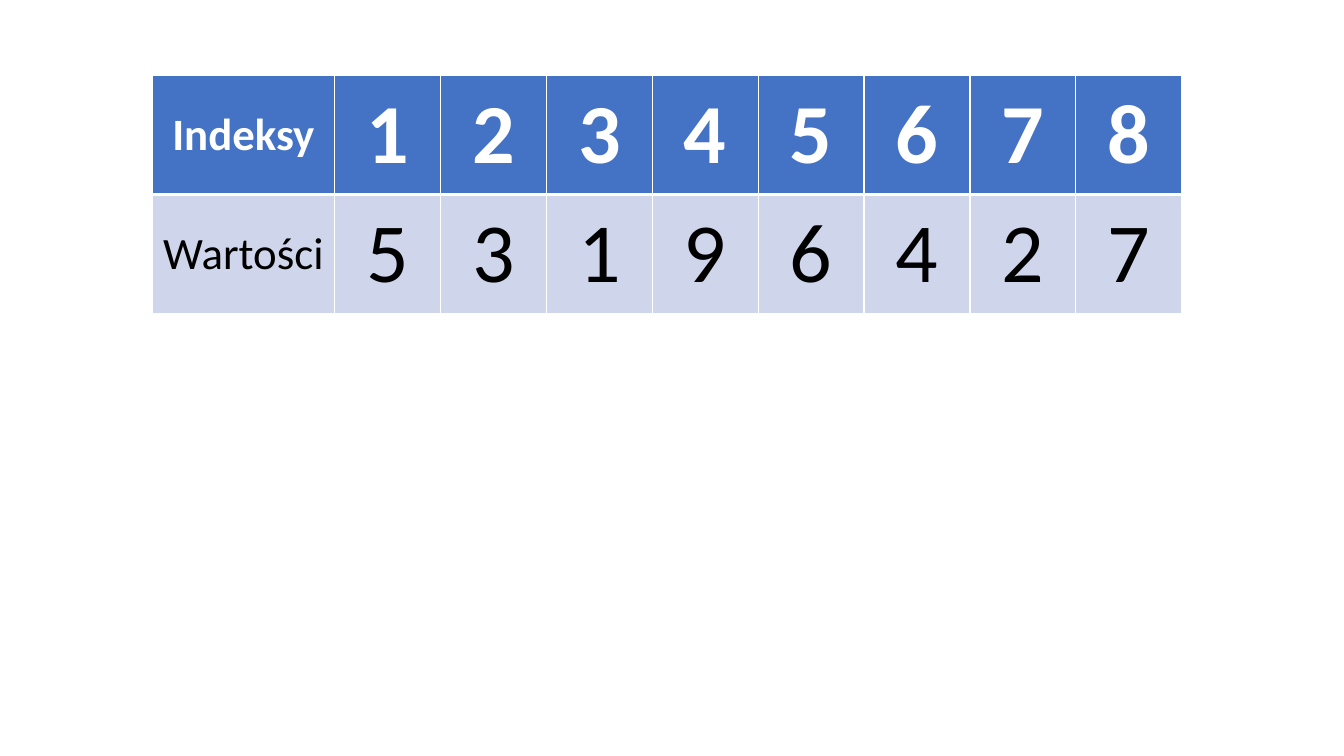
from lxml.etree import SubElement as Sub
from pptx import Presentation
from pptx.dml.color import RGBColor
from pptx.enum.text import MSO_ANCHOR as Anchor, PP_ALIGN as Align
from pptx.oxml.ns import qn
from pptx.util import Inches, Pt

ROWS = [
    ("Indeksy", [1, 2, 3, 4, 5, 6, 7, 8]),
    ("Wartości", [5, 3, 1, 9, 6, 4, 2, 7]),
]
LOOKS = [("4472C4", "FFFFFF", True), ("CFD5EA", "000000", False)]
RULE = "FFFFFF"


def color(code):
    return RGBColor.from_string(code)


def edge(cell, side, width):
    props = cell._tc.get_or_add_tcPr()
    line = Sub(props, qn("a:ln" + side), w=str(Pt(width)))
    fill = Sub(line, qn("a:solidFill"))
    Sub(fill, qn("a:srgbClr"), val=RULE)


def style(cell, text, size, look, sides):
    back, ink, bold = look
    for side, width in sides.items():
        edge(cell, side, width)
    cell.fill.solid()
    cell.fill.fore_color.rgb = color(back)
    cell.vertical_anchor = Anchor.MIDDLE
    cell.text = text
    para = cell.text_frame.paragraphs[0]
    para.alignment = Align.CENTER
    font = para.font
    font.name = "Calibri"
    font.size = Pt(size)
    font.bold = bold
    font.color.rgb = color(ink)


def array(slide, left, top, width, height, label):
    count = len(ROWS[0][1])
    frame = slide.shapes.add_table(
        len(ROWS), count + 1,
        Inches(left), Inches(top), Inches(width), Inches(height))
    table = frame.table
    for col in table.columns:
        col.width = Inches((width - label) / count)
    table.columns[0].width = Inches(label)
    for row in table.rows:
        row.height = Inches(height / len(ROWS))
    for r, (name, values) in enumerate(ROWS):
        sides = {"L": 1, "R": 1, "T": 3 if r else 1, "B": 1 if r else 3}
        for c, value in enumerate([name, *values]):
            size = 60 if c else 32
            style(table.cell(r, c), str(value), size, LOOKS[r], sides)


def main():
    deck = Presentation()
    deck.slide_width = Inches(13.33)
    deck.slide_height = Inches(7.5)
    slide = deck.slides.add_slide(deck.slide_layouts[6])
    array(slide, 1.51, 0.75, 10.21, 2.36, 1.81)
    deck.save("out.pptx")


if __name__ == "__main__":
    main()
